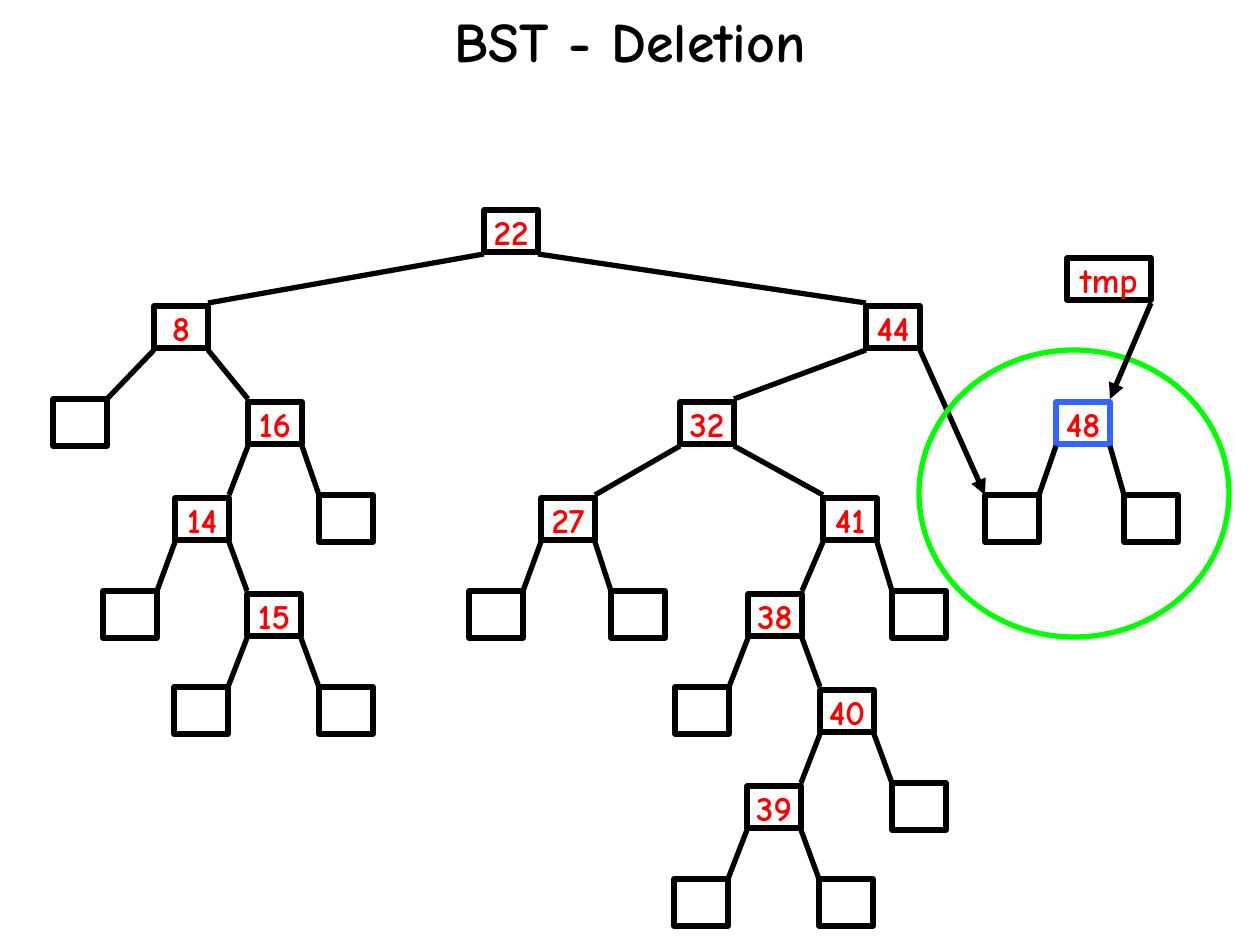
from dataclasses import dataclass
from typing import Optional

from pptx import Presentation
from pptx import util as u
from pptx.dml.color import RGBColor
from pptx.enum import shapes, text
from pptx.oxml.ns import qn
from lxml import etree

PX = u.Inches(1) / 126
BLACK = RGBColor(0, 0, 0)
WHITE = RGBColor(255, 255, 255)
RED = RGBColor(255, 0, 0)
BLUE = RGBColor(0x33, 0x66, 0xFF)
GREEN = RGBColor(0, 255, 0)
FONT = "Comic Neue"

# Tree grid, in px
TOP, STEP = 210, 96
BOX_W, KEY_H, LEAF_H = 54, 42, 47
GAP_BELOW, GAP_ABOVE = 44, 3  # edge ends, measured from a row's top


@dataclass
class Node:
    x: int
    key: str = ""
    left: Optional["Node"] = None
    right: Optional["Node"] = None
    color: RGBColor = BLACK


MAIN_TREE = Node(
    484, "22",
    Node(154, "8",
         Node(53),
         Node(248, "16",
              Node(175, "14", Node(103), Node(247, "15", Node(174), Node(319))),
              Node(319))),
    Node(866, "44",
         Node(680, "32",
              Node(541, "27", Node(469), Node(611)),
              Node(823, "41",
                   Node(748, "38",
                        Node(675),
                        Node(820, "40",
                             Node(747, "39", Node(674), Node(819)),
                             Node(892))),
                   Node(892)))))
REMOVED = Node(1056, "48", Node(985), Node(1124), BLUE)


def px(*values):
    return [u.Emu(round(v * PX)) for v in values]


def row_top(level):
    return TOP + STEP * level


def write(tf, words, size, color, **frame):
    for name, value in frame.items():
        setattr(tf, name, value)
    p = tf.paragraphs[0]
    p.alignment = text.PP_ALIGN.CENTER
    r = p.add_run()
    r.text = words
    for name, value in {"name": FONT, "size": u.Pt(size), "bold": True}.items():
        setattr(r.font, name, value)
    r.font.color.rgb = color


def add_title(s, words):
    sp = s.shapes.title
    sp.left, sp.top, sp.width, sp.height = px(442, 0, 377, 81)
    write(sp.text_frame, words, 32, BLACK, word_wrap=False,
          vertical_anchor=text.MSO_ANCHOR.TOP,
          auto_size=text.MSO_AUTO_SIZE.SHAPE_TO_FIT_TEXT)


def add_outline(s, kind, box, color):
    sp = s.shapes.add_shape(kind, *px(*box))
    sp.shadow.inherit = False
    sp.line.color.rgb = color
    sp.line.width = u.Pt(3)
    return sp


def add_box(s, box, key="", color=BLACK):
    sp = add_outline(s, shapes.MSO_SHAPE.RECTANGLE, box, color)
    sp.fill.solid()
    sp.fill.fore_color.rgb = WHITE
    if key:
        write(sp.text_frame, key, 20, RED, word_wrap=True,
              margin_left=0, margin_top=0, margin_right=0, margin_bottom=0,
              vertical_anchor=text.MSO_ANCHOR.MIDDLE,
              auto_size=text.MSO_AUTO_SIZE.SHAPE_TO_FIT_TEXT)


def add_edge(s, start, end, arrow=False):
    line = s.shapes.add_connector(shapes.MSO_CONNECTOR.STRAIGHT, *px(*start, *end))
    line.line.color.rgb = BLACK
    line.line.width = u.Pt(3)
    if arrow:
        etree.SubElement(line.line._get_or_add_ln(), qn("a:tailEnd"), type="triangle")
    etree.SubElement(line._element.spPr, qn("a:effectLst"))


def add_tree(s, node, level):
    """Draw a node, its subtrees and the edges down to them."""
    top = row_top(level)
    if node.key:
        add_box(s, (node.x, top, BOX_W, KEY_H), node.key, node.color)
    else:
        add_box(s, (node.x, top - GAP_ABOVE, BOX_W, LEAF_H))
    start_y, end_y = top + GAP_BELOW, row_top(level + 1) - GAP_ABOVE
    if node.left:
        add_tree(s, node.left, level + 1)
        add_edge(s, (node.x, start_y), (node.left.x + BOX_W, end_y))
    if node.right:
        add_tree(s, node.right, level + 1)
        add_edge(s, (node.x + BOX_W, start_y), (node.right.x, end_y))


def main():
    prs = Presentation()
    prs.slide_width, prs.slide_height = u.Inches(10), u.Inches(7.5)
    s = prs.slides.add_slide(prs.slide_layouts[5])
    add_title(s, "BST - Deletion")

    # Search tree and the node being removed
    add_tree(s, MAIN_TREE, 0)
    add_tree(s, REMOVED, 2)

    # Relinked pointer from 44 to the left child of 48
    parent = MAIN_TREE.right
    add_edge(s, (parent.x + BOX_W, row_top(1) + GAP_BELOW),
             (REMOVED.left.x, row_top(3) - GAP_ABOVE), arrow=True)

    # Highlight and temporary pointer
    ring = add_outline(s, shapes.MSO_SHAPE.OVAL, (919, 350, 310, 287), GREEN)
    ring.fill.background()
    add_box(s, (1067, 258, 84, KEY_H), "tmp")
    add_edge(s, (1151, 303), (REMOVED.x + BOX_W, row_top(2) - GAP_ABOVE), arrow=True)

    prs.save("out.pptx")


if __name__ == "__main__":
    main()
